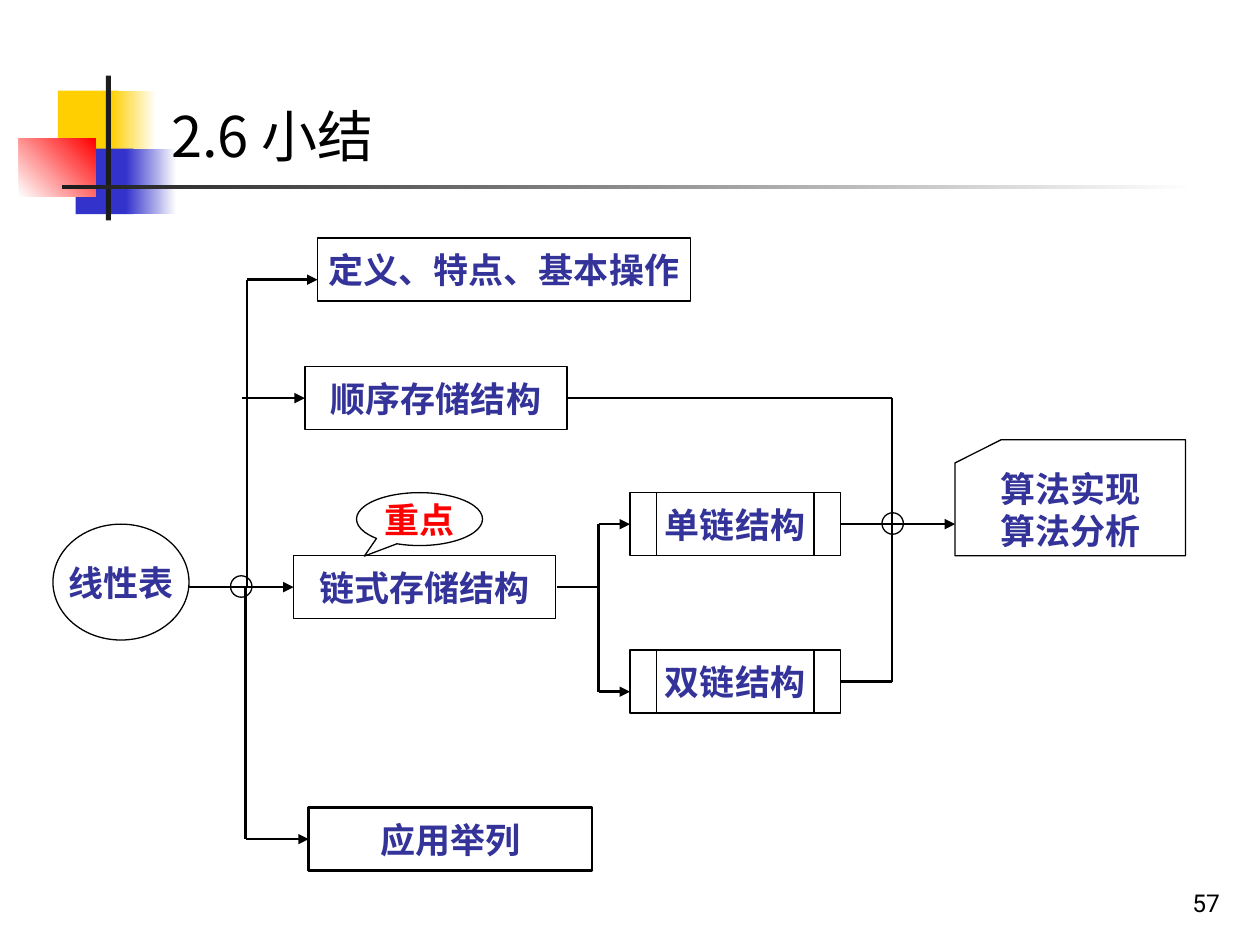
from lxml.etree import SubElement
from pptx import Presentation
from pptx.dml.color import RGBColor
from pptx.enum.shapes import MSO_CONNECTOR, MSO_SHAPE
from pptx.enum.text import MSO_ANCHOR, PP_ALIGN
from pptx.oxml.ns import qn
from pptx.util import Inches, Pt

HEX = {"black": "000000", "ink": "1C1C1C", "white": "FFFFFF", "gold": "FFCF01",
       "blue": "3333CC", "red": "FF0000", "navy": "333399"}
CJK = "Noto Sans CJK JP"

# Corner ornament: left, top, width, height, start colour, end colour, angle
DECOR = [
    (0.46, 0.72, 0.48, 0.52, "gold", None, 0),
    (0.88, 0.72, 0.36, 0.52, "gold", "white", 0),
    (0.6, 1.18, 0.46, 0.52, "blue", None, 0),
    (1, 1.18, 0.4, 0.52, "blue", "white", 0),
    (0.15, 1.1, 0.61, 0.46, "white", "red", 45),
    (0.84, 0.6, 0.04, 1.15, "ink", None, 0),
    (0.49, 1.47, 9, 0.03, "ink", "white", 0),
]

# Nodes: preset, left, top, width, height, text, line width, text colour
BOX, OVAL = MSO_SHAPE.RECTANGLE, MSO_SHAPE.OVAL
SUB = MSO_SHAPE.FLOWCHART_PREDEFINED_PROCESS
CALL = MSO_SHAPE.OVAL_CALLOUT
NODES = [
    (OVAL, 0.42, 4.16, 1.08, 0.92, "线性表", 0.75, "navy"),
    (BOX, 2.52, 1.89, 2.96, 0.5, "定义、特点、基本操作", 0.75, "navy"),
    (BOX, 2.45, 6.41, 2.25, 0.5, "应用举列", 1.5, "navy"),
    (BOX, 2.42, 2.91, 2.08, 0.5, "顺序存储结构", 0.75, "navy"),
    (MSO_SHAPE.FLOWCHART_CARD, 7.58, 3.49, 1.83, 0.92,
     "算法实现\n算法分析", 0.75, "navy"),
    (BOX, 2.33, 4.41, 2.08, 0.5, "链式存储结构", 0.75, "navy"),
    (CALL, 2.83, 3.91, 1, 0.42, "重点", 0.75, "red"),
    (SUB, 5, 3.91, 1.67, 0.5, "单链结构", 0.75, "navy"),
    (SUB, 5, 5.16, 1.67, 0.5, "双链结构", 0.75, "navy"),
    (OVAL, 1.83, 4.57, 0.17, 0.17, "", 0.75, "navy"),
    (OVAL, 7, 4.07, 0.17, 0.17, "", 0.75, "navy"),
]

# Routes: corner points, arrow at the end, line width
ROUTES = [
    ([(1.5, 4.66), (1.96, 4.66), (1.96, 2.22), (2.52, 2.22)], True, 1.5),
    ([(1.95, 4.66), (1.95, 6.66), (2.45, 6.66)], True, 1.5),
    ([(1.92, 3.16), (2.42, 3.16)], True, 1.5),
    ([(4.5, 3.16), (7.08, 3.16), (7.08, 4.16), (7.58, 4.16)], True, 1.5),
    ([(1.92, 4.66), (2.33, 4.66)], True, 1.5),
    ([(4.42, 4.66), (4.75, 4.66)], False, 1.5),
    ([(4.75, 4.16), (4.75, 5.49), (5, 5.49)], True, 1.5),
    ([(4.75, 4.16), (5, 4.16)], True, 1.5),
    ([(6.67, 4.16), (7.08, 4.16)], False, 1.5),
    ([(6.67, 5.41), (7.08, 5.41)], False, 1.5),
    ([(7.08, 4.16), (7.08, 5.41)], False, 0.75),
]


def tint(name):
    return RGBColor.from_string(HEX[name])


def write(shape, text, size=20, font="Times New Roman", color="navy", bold=False,
          align=PP_ALIGN.CENTER, anchor=MSO_ANCHOR.MIDDLE, wrap=False):
    frame = shape.text_frame
    frame.word_wrap = wrap
    frame.vertical_anchor = anchor
    for i, line in enumerate(text.split("\n")):
        para = frame.add_paragraph() if i else frame.paragraphs[0]
        para.alignment = align
        run = para.add_run()
        run.text = line
        run.font.size = Pt(size)
        run.font.bold = bold
        run.font.color.rgb = tint(color)
        run.font.name = font
        SubElement(run.font._element, qn("a:ea"), typeface=CJK)


def add(slide, kind, *spot):
    shape = slide.shapes.add_shape(kind, *map(Inches, spot))
    shape.shadow.inherit = False
    return shape


def paint(slide, x, y, w, h, start, end, angle):
    shape = add(slide, BOX, x, y, w, h)
    shape.line.fill.background()
    if end is None:
        shape.fill.solid()
        shape.fill.fore_color.rgb = tint(start)
        return
    shape.fill.gradient()
    shape.fill.gradient_angle = angle
    for stop, name in zip(shape.fill.gradient_stops, (start, end)):
        stop.color.rgb = tint(name)


def node(slide, kind, x, y, w, h, text, width, color):
    shape = add(slide, kind, x, y, w, h)
    shape.fill.background()
    shape.line.color.rgb = tint("black")
    shape.line.width = Pt(width)
    if kind == CALL:
        shape.adjustments[0], shape.adjustments[1] = -0.438, 0.7
    if text:
        write(shape, text, color=color, bold=True)


def route(slide, points, arrow, width):
    for a, b in zip(points, points[1:]):
        line = slide.shapes.add_connector(MSO_CONNECTOR.STRAIGHT, *map(Inches, a + b))
        line.line.color.rgb = tint("black")
        line.line.width = Pt(width)
        props = line._element.spPr
        if arrow and b == points[-1]:
            SubElement(props.find(qn("a:ln")), qn("a:tailEnd"), type="triangle")
        SubElement(props, qn("a:effectLst"))


def main():
    deck = Presentation()
    deck.slide_width, deck.slide_height = Inches(10), Inches(7.5)
    slide = deck.slides.add_slide(deck.slide_layouts[6])

    # Ornament, then the diagram
    for part in DECOR:
        paint(slide, *part)
    for part in NODES:
        node(slide, *part)
    for part in ROUTES:
        route(slide, *part)

    # Title and page number
    title = slide.shapes.add_textbox(*map(Inches, (1.26, 0.76, 8.74, 0.64)))
    write(title, "2.6 小结", size=32, font=CJK, color="black",
          align=PP_ALIGN.LEFT, anchor=MSO_ANCHOR.TOP, wrap=True)
    page = slide.shapes.add_textbox(*map(Inches, (7.7, 6.83, 2.08, 0.5)))
    write(page, "57", size=14, font="Roboto", color="black",
          align=PP_ALIGN.RIGHT, anchor=MSO_ANCHOR.BOTTOM, wrap=True)

    deck.save("out.pptx")


if __name__ == "__main__":
    main()
